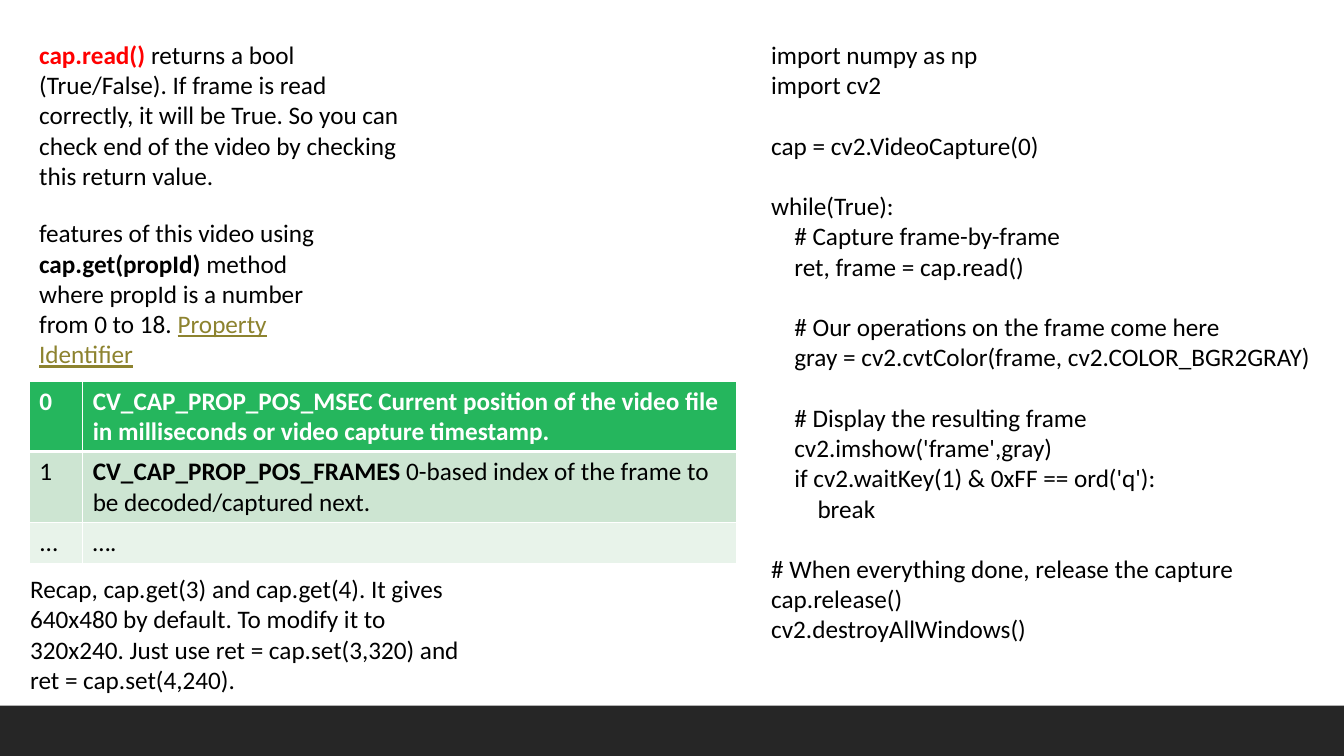
from lxml.etree import SubElement
from pptx import Presentation
from pptx.dml.color import RGBColor
from pptx.enum.shapes import MSO_SHAPE
from pptx.enum.text import MSO_AUTO_SIZE
from pptx.oxml.ns import qn
from pptx.util import Inches, Pt

FONT = "Calibri"
SIZE = Pt(18)
LINE_PITCH = Pt(21.6)
CODE_INDENT = 0.23

BLACK = RGBColor(0, 0, 0)
WHITE = RGBColor(0xFF, 0xFF, 0xFF)
RED = RGBColor(0xFF, 0, 0)
OLIVE = RGBColor(0x8D, 0x83, 0x2F)
CHARCOAL = RGBColor(0x26, 0x26, 0x26)
GREEN = RGBColor(0x25, 0xB6, 0x5D)
MINT = RGBColor(0xCD, 0xE5, 0xD2)
PALE_MINT = RGBColor(0xE8, 0xF3, 0xEA)

CODE = """\
import numpy as np
import cv2

cap = cv2.VideoCapture(0)

while(True):
    # Capture frame-by-frame
    ret, frame = cap.read()

    # Our operations on the frame come here
    gray = cv2.cvtColor(frame, cv2.COLOR_BGR2GRAY)

    # Display the resulting frame
    cv2.imshow('frame',gray)
    if cv2.waitKey(1) & 0xFF == ord('q'):
        break

# When everything done, release the capture
cap.release()
cv2.destroyAllWindows()"""

READ_NOTE = [
    ("cap.read() ", {"bold": True, "color": RED}),
    ("returns a bool (True/False). If frame is read correctly, it will be True. "
     "So you can check end of the video by checking this return value.", {}),
]
GET_NOTE = [
    ("features of this video using ", {}),
    ("cap.get(propId)", {"bold": True}),
    (" method where propId is a number from 0 to 18. ", {}),
    ("Property Identifier", {"color": OLIVE, "underline": True}),
]
RECAP = [
    ("Recap, cap.get(3) and cap.get(4). It gives 640x480 by default. To modify it "
     "to 320x240. Just use ret = cap.set(3,320) and ret = cap.set(4,240).", {}),
]
# Each row: height, fill, text colour, number, description
PROPERTIES = [
    (0.7, GREEN, WHITE, [("0", {"bold": True})],
     [("CV_CAP_PROP_POS_MSEC Current position of the video file in milliseconds "
       "or video capture timestamp.", {"bold": True})]),
    (0.7, MINT, BLACK, [("1", {})],
     [("CV_CAP_PROP_POS_FRAMES", {"bold": True}),
      (" 0-based index of the frame to be decoded/captured next.", {})]),
    (0.41, PALE_MINT, BLACK, [("...", {})], [("….", {})]),
]


def write(paragraph, pieces, color=BLACK):
    """Fill a paragraph with (text, emphasis) pieces."""
    paragraph.font.name = FONT
    paragraph.font.size = SIZE
    for text, emphasis in pieces:
        run = paragraph.add_run()
        run.text = text
        run.font.name = FONT
        run.font.size = SIZE
        run.font.bold = emphasis.get("bold", False)
        run.font.underline = emphasis.get("underline")
        run.font.color.rgb = emphasis.get("color", color)


def add_frame(slide, box):
    """Add a wrapping text box and return its text frame."""
    frame = slide.shapes.add_textbox(*map(Inches, box)).text_frame
    frame.word_wrap = True
    frame.auto_size = MSO_AUTO_SIZE.SHAPE_TO_FIT_TEXT
    return frame


def add_note(slide, box, pieces):
    """Add one explanatory paragraph."""
    write(add_frame(slide, box).paragraphs[0], pieces)


def add_code(slide, box):
    """Add the listing, with indents and gaps as paragraph settings."""
    frame = add_frame(slide, box)
    paragraph, gap = frame.paragraphs[0], False
    for number, line in enumerate(CODE.splitlines()):
        if not line:
            gap = True
            continue
        if number:
            paragraph = frame.add_paragraph()
        statement = line.lstrip()
        level = (len(line) - len(statement)) // 4
        write(paragraph, [(statement, {})])
        if level:
            properties = paragraph._p.get_or_add_pPr()
            properties.set("marL", str(Inches(CODE_INDENT * level)))
            properties.set("indent", "0")
        if gap:
            paragraph.space_before = LINE_PITCH
        gap = False


def set_borders(cell, top, bottom):
    """Give a cell white borders; top and bottom are widths in points."""
    properties = cell._tc.get_or_add_tcPr()
    for side, width in (("L", 1), ("R", 1), ("T", top), ("B", bottom)):
        line = SubElement(properties, qn(f"a:ln{side}"), w=str(Pt(width)))
        fill = SubElement(line, qn("a:solidFill"))
        SubElement(fill, qn("a:srgbClr"), val=str(WHITE))


def add_properties(slide, box):
    """Add the table of capture properties."""
    table = slide.shapes.add_table(len(PROPERTIES), 2, *map(Inches, box)).table
    number_width = 0.53
    table.columns[0].width = Inches(number_width)
    table.columns[1].width = Inches(box[2] - number_width)
    for index, (height, fill, color, *contents) in enumerate(PROPERTIES):
        table.rows[index].height = Inches(height)
        for column, pieces in enumerate(contents):
            cell = table.cell(index, column)
            write(cell.text_frame.paragraphs[0], pieces, color)
            set_borders(cell, 3 if index == 1 else 1, 3 if index == 0 else 1)
            cell.fill.solid()
            cell.fill.fore_color.rgb = fill


def add_footer(slide, box):
    """Add the dark band along the bottom edge."""
    band = slide.shapes.add_shape(MSO_SHAPE.RECTANGLE, *map(Inches, box))
    band.shadow.inherit = False
    band.fill.solid()
    band.fill.fore_color.rgb = CHARCOAL
    band.line.fill.background()


def build():
    """Build and save the slide."""
    deck = Presentation()
    deck.slide_width, deck.slide_height = Inches(13.33), Inches(7.5)
    slide = deck.slides.add_slide(deck.slide_layouts[6])
    add_footer(slide, (0, 7, 13.33, 0.5))
    add_code(slide, (7.55, 0.34, 5.78, 6.16))
    add_note(slide, (0.29, 0.34, 3.82, 1.62), READ_NOTE)
    add_note(slide, (0.29, 2.11, 3.33, 1.62), GET_NOTE)
    add_properties(slide, (0.29, 3.78, 7.02, 1.81))
    add_note(slide, (0.2, 5.64, 4.58, 1.31), RECAP)
    deck.save("out.pptx")


build()
